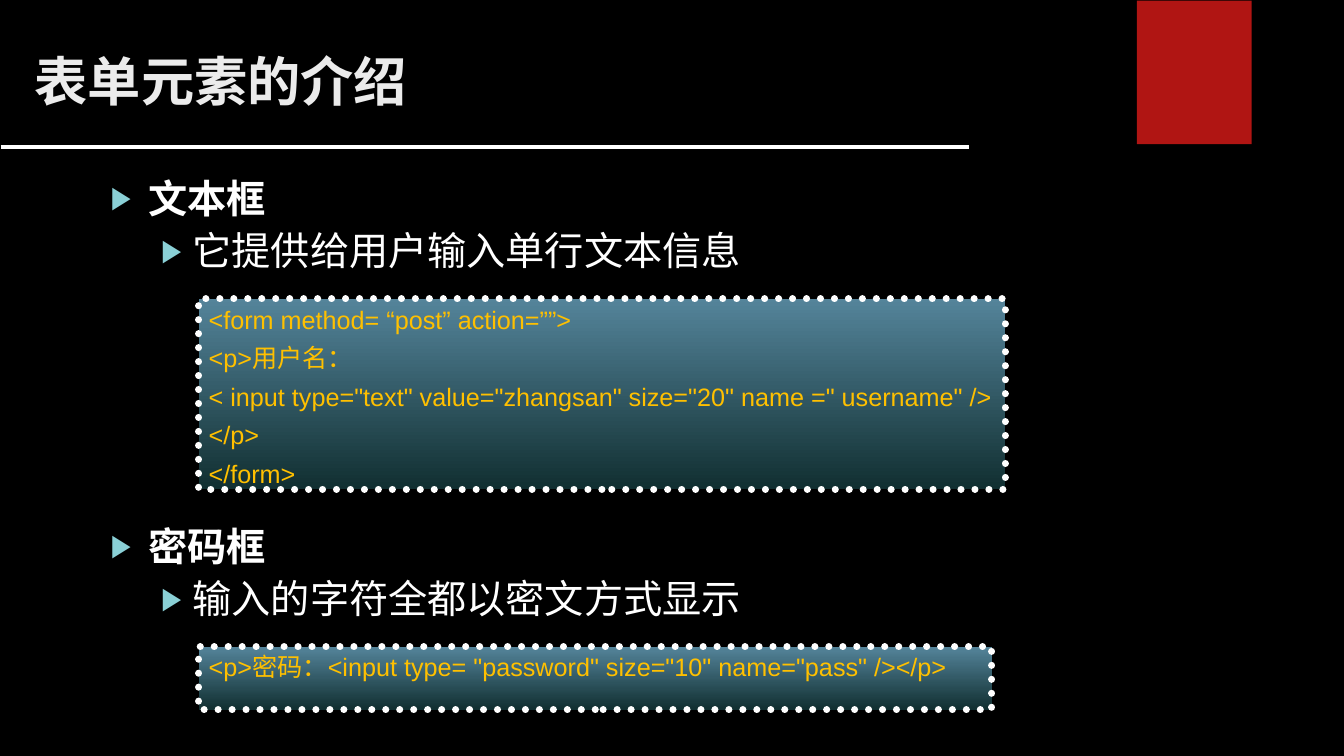
from pptx import Presentation
from pptx import util as u
from pptx.dml.color import RGBColor
from pptx.enum import dml, shapes, text
from pptx.oxml import ns, xmlchemy

Pt = u.Pt
COLORS = {
    "background": "000000",
    "banner": "B01513",
    "title": "EBEBEB",
    "white": "FFFFFF",
    "bullet": "8AD0D6",
    "code": "FFC000",
    "code_top": "54849A",
    "code_bottom": "112F31",
}
CJK_FONT = "Noto Sans CJK SC"

SECTIONS = [
    {
        "top": 124.5,
        "heading": "文本框",
        "detail": "它提供给用户输入单行文本信息",
        "code": [
            "<form method= “post” action=””>",
            "<p>用户名：",
            '< input type="text" value="zhangsan" size="20" name =" username" />',
            "</p>",
            "</form>",
        ],
        "code_size": (576, 136),
    },
    {
        "top": 373,
        "heading": "密码框",
        "detail": "输入的字符全都以密文方式显示",
        "code": ['<p>密码：<input type= "password" size="10" name="pass" /></p>'],
        "code_size": (566.5, 45),
    },
]


def color(name):
    return RGBColor.from_string(COLORS[name])


def add_element(parent, tag, **attributes):
    child = xmlchemy.OxmlElement(tag)
    for key, value in attributes.items():
        child.set(key, value)
    parent.append(child)
    return child


def write(para, content, size, fill, font=CJK_FONT, bold=False, spacing=0.9, before=0, after=0):
    """Fill a paragraph with one formatted run."""
    para.alignment = text.PP_ALIGN.LEFT
    para.line_spacing = spacing
    para.space_before, para.space_after = Pt(before), Pt(after)
    span = para.add_run()
    span.text = content
    span.font.size, span.font.bold, span.font.name = Pt(size), bold, font
    span.font.color.rgb = color(fill)
    add_element(span.font._element, "a:ea", typeface=CJK_FONT)


def add_bullet(para, margin, hanging):
    props = para._p.get_or_add_pPr()
    props.set("marL", str(Pt(margin)))
    props.set("indent", str(-Pt(hanging)))
    bullet_color = add_element(props, "a:buClr")
    add_element(bullet_color, "a:srgbClr", val=COLORS["bullet"])
    add_element(props, "a:buSzPct", val="80000")
    add_element(props, "a:buFont", typeface="Arial")
    add_element(props, "a:buChar", char="▶")


def add_header(page, left, top, width, height):
    banner = page.shapes.add_shape(
        shapes.MSO_SHAPE.RECTANGLE, Pt(left + 812), Pt(top + 0.5), Pt(82), Pt(102.5))
    banner.shadow.inherit = False
    banner.fill.solid()
    banner.fill.fore_color.rgb = color("banner")
    banner.line.fill.background()

    rule_y = Pt(top + 105)
    rule = page.shapes.add_connector(
        shapes.MSO_CONNECTOR.STRAIGHT, Pt(left + 0.5), rule_y, Pt(left + 692), rule_y)
    rule.line.color.rgb = color("white")
    rule.line.width = Pt(2.25)
    add_element(rule._element.spPr, "a:effectLst")

    title = page.shapes.title
    title.left, title.top = Pt(left + 17.5), Pt(top + 36)
    title.width, title.height = Pt(width - 180), Pt(height - 36)
    title.text_frame.vertical_anchor = text.MSO_ANCHOR.TOP
    write(title.text_frame.paragraphs[0], "表单元素的介绍", 38, "title", bold=True)


def add_code_box(page, left, top, width, height, lines):
    box = page.shapes.add_shape(
        shapes.MSO_SHAPE.RECTANGLE, Pt(left), Pt(top), Pt(width), Pt(height))
    box.shadow.inherit = False
    box.fill.gradient()
    box.fill.gradient_angle = 270
    for stop, name, position in zip(box.fill.gradient_stops, ("code_top", "code_bottom"), (0, 1)):
        stop.color.rgb = color(name)
        stop.position = position
    box.line.color.rgb = color("white")
    box.line.width = Pt(5)
    box.line.dash_style = dml.MSO_LINE.ROUND_DOT
    box._element.spPr.find(ns.qn("a:ln")).set("cap", "rnd")

    frame = box.text_frame
    frame.word_wrap = True
    frame.vertical_anchor = text.MSO_ANCHOR.TOP
    for index, line in enumerate(lines):
        para = frame.add_paragraph() if index else frame.paragraphs[0]
        write(para, line, 18, "code", font="Arial", spacing=Pt(21.6), before=6 if index else 0)


def add_section(page, left, top, width, section):
    """Place a heading, its detail line and the code sample below them."""
    box = page.shapes.add_textbox(Pt(left), Pt(top), Pt(width), Pt(88))
    frame = box.text_frame
    frame.word_wrap = True
    heading, detail = frame.paragraphs[0], frame.add_paragraph()
    write(heading, section["heading"], 28, "white", bold=True, after=7)
    add_bullet(heading, 27, 27)
    write(detail, section["detail"], 28, "white")
    add_bullet(detail, 58.5, 22.5)
    add_code_box(page, left + 70, top + 89, *section["code_size"], section["code"])


def main():
    deck = Presentation()
    deck.slide_width, deck.slide_height = Pt(960), Pt(540)
    page = deck.slides.add_slide(deck.slide_layouts[5])
    page.background.fill.solid()
    page.background.fill.fore_color.rgb = color("background")
    add_header(page, 0, 0, 960, 123)
    for section in SECTIONS:
        add_section(page, 72, section["top"], 823, section)
    deck.save("out.pptx")


if __name__ == "__main__":
    main()
